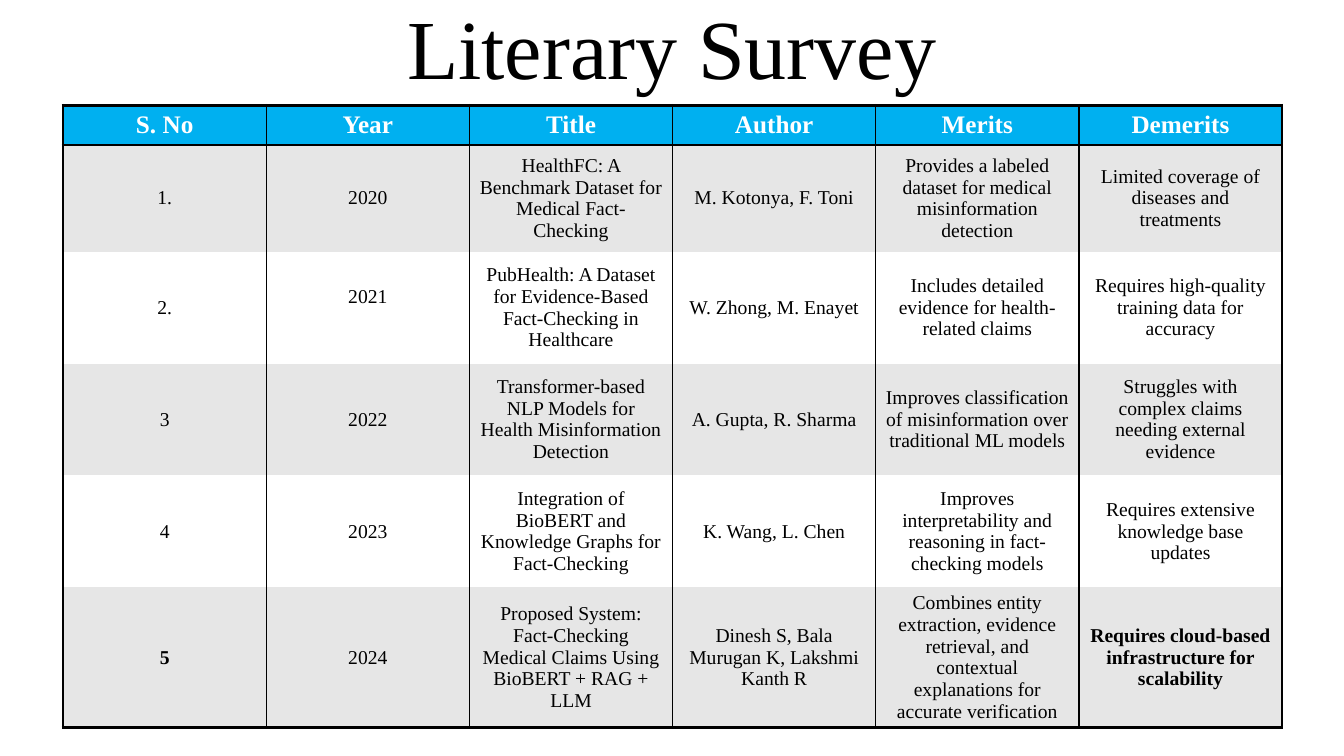
from typing import NamedTuple

from lxml import etree
from pptx import Presentation
from pptx.dml.color import RGBColor
from pptx.enum.text import MSO_ANCHOR, PP_ALIGN
from pptx.oxml.ns import qn
from pptx.util import Cm, Pt

MIDDLE, CENTER = MSO_ANCHOR.MIDDLE, PP_ALIGN.CENTER
FONT = "Times New Roman"
COLORS = {"ink": "000000", "head": "00B0F0", "band": "E6E6E6", "white": "FFFFFF"}
THICK, MID, THIN, NONE = 2.25, 2, 1, 0  # border widths in points


class Study(NamedTuple):
    number: str
    year: str
    title: str
    author: str
    merits: str
    demerits: str


class Style(NamedTuple):
    size: int
    color: str
    fill: str
    bold: bool


HEADS = Study("S. No", "Year", "Title", "Author", "Merits", "Demerits")
STUDIES = [
    Study("1.", "2020", "HealthFC: A Benchmark Dataset for Medical Fact-Checking",
          "M. Kotonya, F. Toni",
          "Provides a labeled dataset for medical misinformation detection",
          "Limited coverage of diseases and treatments"),
    Study("2.", "2021",
          "PubHealth: A Dataset for Evidence-Based Fact-Checking in Healthcare",
          "W. Zhong, M. Enayet",
          "Includes detailed evidence for health-related claims",
          "Requires high-quality training data for accuracy"),
    Study("3", "2022",
          "Transformer-based NLP Models for Health Misinformation Detection",
          "A. Gupta, R. Sharma",
          "Improves classification of misinformation over traditional ML models",
          "Struggles with complex claims needing external evidence"),
    Study("4", "2023",
          "Integration of BioBERT and Knowledge Graphs for Fact-Checking",
          "K. Wang, L. Chen",
          "Improves interpretability and reasoning in fact-checking models",
          "Requires extensive knowledge base updates"),
    Study("5", "2024",
          "Proposed System: Fact-Checking Medical Claims Using BioBERT + RAG + LLM",
          "Dinesh S, Bala Murugan K, Lakshmi Kanth R",
          "Combines entity extraction, evidence retrieval, and contextual "
          "explanations for accurate verification",
          "Requires cloud-based infrastructure for scalability"),
]
ROWS = [HEADS, *STUDIES]
HEIGHTS = [1.0, 2.69, 2.82, 2.82, 2.82, 3.53]
COL_WIDTH = 5.12
LAST_ROW, LAST_COL = len(ROWS) - 1, len(HEADS) - 1
BOLD = {(LAST_ROW, 0), (LAST_ROW, LAST_COL)}
RAISED = (2, 1)  # the year that sits above the middle of its cell


def set_font(para, size: int, color: str, bold: bool = False) -> None:
    para.alignment = CENTER
    font = para.font
    font.name, font.size, font.bold = FONT, Pt(size), bold
    font.color.rgb = RGBColor.from_string(COLORS[color])


def add_border(cell, side: str, width: float) -> None:
    props = cell._tc.get_or_add_tcPr()
    line = etree.SubElement(props, qn(f"a:ln{side}"), w=str(Pt(width)))
    if width == NONE:
        etree.SubElement(line, qn("a:noFill"))
        return
    fill = etree.SubElement(line, qn("a:solidFill"))
    etree.SubElement(fill, qn("a:srgbClr"), val=COLORS["ink"])


def get_sides(row: int, col: int) -> dict[str, float]:
    top = {0: THICK, 1: MID}.get(row, NONE)
    bottom = {0: MID, LAST_ROW: THICK}.get(row, NONE)
    return {"L": THICK if col == 0 else THIN,
            "R": THICK if col == LAST_COL else THIN,
            "T": top, "B": bottom}


def get_style(row: int, col: int) -> Style:
    if row == 0:
        return Style(18, "white", "head", True)
    return Style(14, "ink", "band" if row % 2 else "white", (row, col) in BOLD)


def fill_cell(cell, text: str, row: int, col: int) -> None:
    style = get_style(row, col)
    for side, width in get_sides(row, col).items():
        add_border(cell, side, width)
    cell.fill.solid()
    cell.fill.fore_color.rgb = RGBColor.from_string(COLORS[style.fill])
    cell.vertical_anchor = MIDDLE
    cell.text = text
    set_font(cell.text_frame.paragraphs[0], style.size, style.color, style.bold)
    if (row, col) == RAISED:
        cell.margin_bottom = Cm(0.67)


def add_title(slide) -> None:
    title = slide.shapes.title
    title.left, title.top = Cm(4.23), Cm(0)
    title.width, title.height = Cm(25.4), Cm(2.64)
    frame = title.text_frame
    frame.text = "Literary Survey"
    frame.vertical_anchor = MIDDLE
    para = frame.paragraphs[0]
    para.line_spacing = 0.9
    set_font(para, 60, "ink")


def add_survey(slide) -> None:
    frame = slide.shapes.add_table(
        len(ROWS), len(HEADS), Cm(1.59), Cm(2.65),
        Cm(COL_WIDTH * len(HEADS)), Cm(sum(HEIGHTS)))
    table = frame.table
    for column in table.columns:
        column.width = Cm(COL_WIDTH)
    for row, (study, height) in enumerate(zip(ROWS, HEIGHTS)):
        table.rows[row].height = Cm(height)
        for col, text in enumerate(study):
            fill_cell(table.cell(row, col), text, row, col)


def main() -> None:
    deck = Presentation()
    deck.slide_width, deck.slide_height = Cm(33.87), Cm(19.05)
    # Title-only layout
    slide = deck.slides.add_slide(deck.slide_layouts[5])
    add_title(slide)
    add_survey(slide)
    deck.save("out.pptx")


if __name__ == "__main__":
    main()
